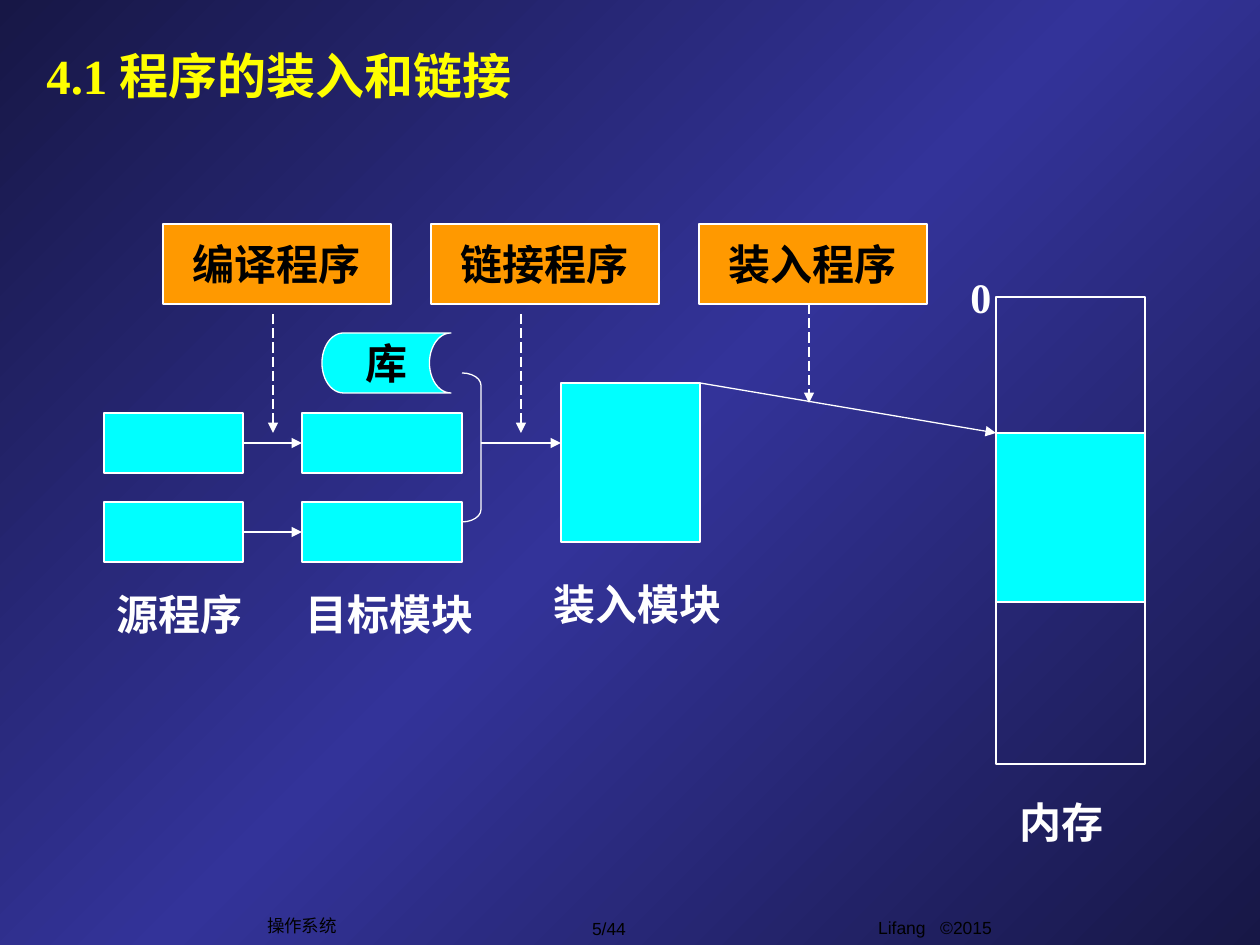
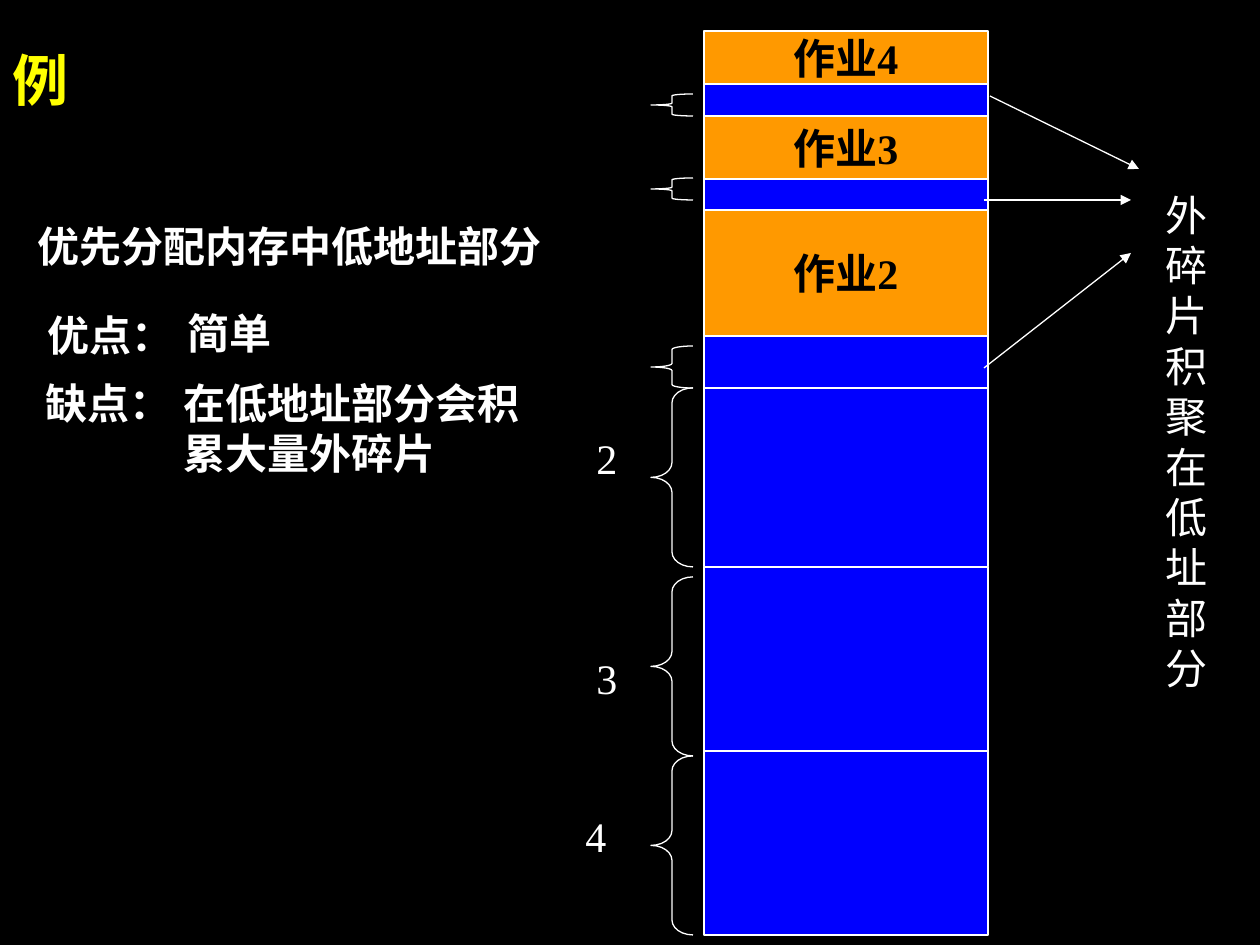
from copy import deepcopy
from itertools import pairwise

from lxml.etree import SubElement
from pptx import Presentation
from pptx.dml.color import RGBColor
from pptx.enum.dml import MSO_LINE
from pptx.enum.shapes import MSO_CONNECTOR, MSO_SHAPE
from pptx.enum.text import MSO_ANCHOR, PP_ALIGN
from pptx.oxml.ns import qn
from pptx.util import Inches, Pt

PX = 7257  # EMU in one px, 126 px to the inch

BLACK = RGBColor(0x00, 0x00, 0x00)
WHITE = RGBColor(0xFF, 0xFF, 0xFF)
YELLOW = RGBColor(0xFF, 0xFF, 0x00)
ORANGE = RGBColor(0xFF, 0x99, 0x00)
CYAN = RGBColor(0x00, 0xFF, 0xFF)
BLUE = RGBColor(0x00, 0x00, 0xFF)
INDIGO = RGBColor(0x33, 0x33, 0x99)
NIGHT = RGBColor(0x17, 0x17, 0x46)

TITLE = dict(color=YELLOW, anchor=MSO_ANCHOR.MIDDLE)
FOOTER = dict(size=10, font="Arial", color=BLACK, bold=False,
              align=PP_ALIGN.CENTER, anchor=MSO_ANCHOR.MIDDLE)
ON_BLOCK = dict(color=BLACK, align=PP_ALIGN.CENTER, anchor=MSO_ANCHOR.MIDDLE)


def add_item(slide, box, *lines, kind=None, fill=None, size=24, color=WHITE,
             bold=True, font="Times New Roman", align=PP_ALIGN.LEFT, anchor=MSO_ANCHOR.TOP):
    """Add a text box, or an outlined shape if kind is given; one paragraph per line."""
    place = [length * PX for length in box]
    if kind is None:
        item = slide.shapes.add_textbox(*place)
    else:
        item = slide.shapes.add_shape(kind, *place)
        item.shadow.inherit = False
        item.line.color.rgb = WHITE
        item.line.width = Pt(0.75)
        if fill is None:
            item.fill.background()
        else:
            item.fill.solid()
            item.fill.fore_color.rgb = fill
    frame = item.text_frame
    frame.word_wrap = True
    frame.vertical_anchor = anchor
    for number, line in enumerate(lines):
        paragraph = frame.add_paragraph() if number else frame.paragraphs[0]
        paragraph.alignment = align
        run = paragraph.add_run()
        run.text = line
        run.font.name = font
        run.font.size = Pt(size)
        run.font.bold = bold
        run.font.color.rgb = color
    return item


def add_arrow(slide, x1, y1, x2, y2, dashed=False):
    arrow = slide.shapes.add_connector(
        MSO_CONNECTOR.STRAIGHT, x1 * PX, y1 * PX, x2 * PX, y2 * PX)
    arrow.line.color.rgb = WHITE
    arrow.line.width = Pt(0.75)
    if dashed:
        arrow.line.dash_style = MSO_LINE.LONG_DASH
    SubElement(arrow.line._get_or_add_ln(), qn("a:tailEnd"), type="triangle")
    SubElement(arrow._element.spPr, qn("a:effectLst"))
    return arrow


prs = Presentation()
prs.slide_width = Inches(10)
prs.slide_height = Inches(7.5)
blank = prs.slide_layouts[6]

# Slide 1: from source program to memory
loading = prs.slides.add_slide(blank)
backdrop = loading.background.fill
backdrop.gradient()
backdrop.gradient_angle = 135
for stop, shade in zip(backdrop.gradient_stops, (NIGHT, INDIGO)):
    stop.color.rgb = shade
stop_list = loading.element.find(".//" + qn("a:gsLst"))
stop_list.append(deepcopy(stop_list[0]))
for stop, position in zip(backdrop.gradient_stops, (0, 0.5, 1)):
    stop.position = position

for center, middle, words in ((935, 928, "Lifang   ©2015"), (609, 929, "5/44"),
                              (302, 926, "操作系统")):
    add_item(loading, (center - 100, middle - 17, 200, 34), words, **FOOTER)
add_item(loading, (34, 35, 684, 79), "4.1 程序的装入和链接", size=28, **TITLE)

for step, tool in enumerate(("编译程序", "链接程序", "装入程序")):
    add_item(loading, (163 + 268 * step, 224, 228, 80), tool,
             kind=MSO_SHAPE.RECTANGLE, fill=ORANGE, **ON_BLOCK)
for x, top, bottom in ((273, 314, 433), (521, 314, 433), (809, 304, 403)):
    add_arrow(loading, x, top, x, bottom, dashed=True)

for top in (413, 502):
    source = add_item(loading, (104, top, 139, 60), kind=MSO_SHAPE.RECTANGLE, fill=CYAN)
    target = add_item(loading, (302, top, 160, 60), kind=MSO_SHAPE.RECTANGLE, fill=CYAN)
    compiling = add_arrow(loading, 243, top + 30, 302, top + 30)
    compiling.begin_connect(source, 3)
    compiling.end_connect(target, 1)

add_item(loading, (322, 333, 129, 60), "库",
         kind=MSO_SHAPE.FLOWCHART_STORED_DATA, fill=CYAN, **ON_BLOCK)
linked = add_item(loading, (462, 373, 19, 149), kind=MSO_SHAPE.RIGHT_BRACKET)
linked.adjustments[0] = 149 / 12 / 19
add_item(loading, (561, 383, 139, 159), kind=MSO_SHAPE.RECTANGLE, fill=CYAN)
add_arrow(loading, 481, 443, 561, 443)

add_item(loading, (996, 433, 149, 169), kind=MSO_SHAPE.RECTANGLE, fill=CYAN)
add_item(loading, (996, 297, 149, 467), kind=MSO_SHAPE.RECTANGLE)
add_arrow(loading, 700, 383, 996, 433)

for left, top, width, caption in ((958, 265, 50, "0"), (1007, 790, 130, "内存"),
                                  (104, 582, 200, "源程序"), (293, 582, 220, "目标模块"),
                                  (541, 572, 220, "装入模块")):
    add_item(loading, (left, top, width, 63), caption)

# Slide 2: external fragments in low memory
example = prs.slides.add_slide(blank)
example.background.fill.solid()
example.background.fill.fore_color.rgb = BLACK
add_item(example, (0, 0, 1052, 158), "例", size=32, **TITLE)

for left, top, width, point in ((25, 214, 546, "优先分配内存中低地址部分"),
                                (35, 303, 170, "优点："), (33, 371, 170, "缺点："),
                                (175, 301, 130, "简单"),
                                (171, 371, 370, "在低地址部分会积累大量外碎片")):
    add_item(example, (left, top, width, 63), point)

edges = (31, 84, 116, 179, 210, 336, 388, 567, 751, 935)
jobs = {31: "作业4", 116: "作业3", 210: "作业2"}
for top, bottom in pairwise(edges):
    area = (704, top, 284, bottom - top)
    if top in jobs:
        add_item(example, area, jobs[top], kind=MSO_SHAPE.RECTANGLE, fill=ORANGE, **ON_BLOCK)
    else:
        add_item(example, area, kind=MSO_SHAPE.RECTANGLE, fill=BLUE)

for top, bottom in ((94, 116), (178, 200), (346, 388), (388, 567), (577, 756), (756, 935)):
    height = bottom - top
    brace = add_item(example, (651, top, 42, height), kind=MSO_SHAPE.LEFT_BRACE)
    brace.adjustments[0] = height / 12 / min(42, height)

for left, top, partition in ((584, 426, "2"), (584, 646, "3"), (573, 804, "4")):
    add_item(example, (left, top, 50, 63), partition, bold=False)

for ends in ((990, 96, 1139, 169), (984, 200, 1131, 200), (984, 368, 1131, 253)):
    add_arrow(example, *ends)
add_item(example, (1153, 183, 100, 517), "外碎片", "积聚在", "低址部分", bold=False)

prs.save("out.pptx")
